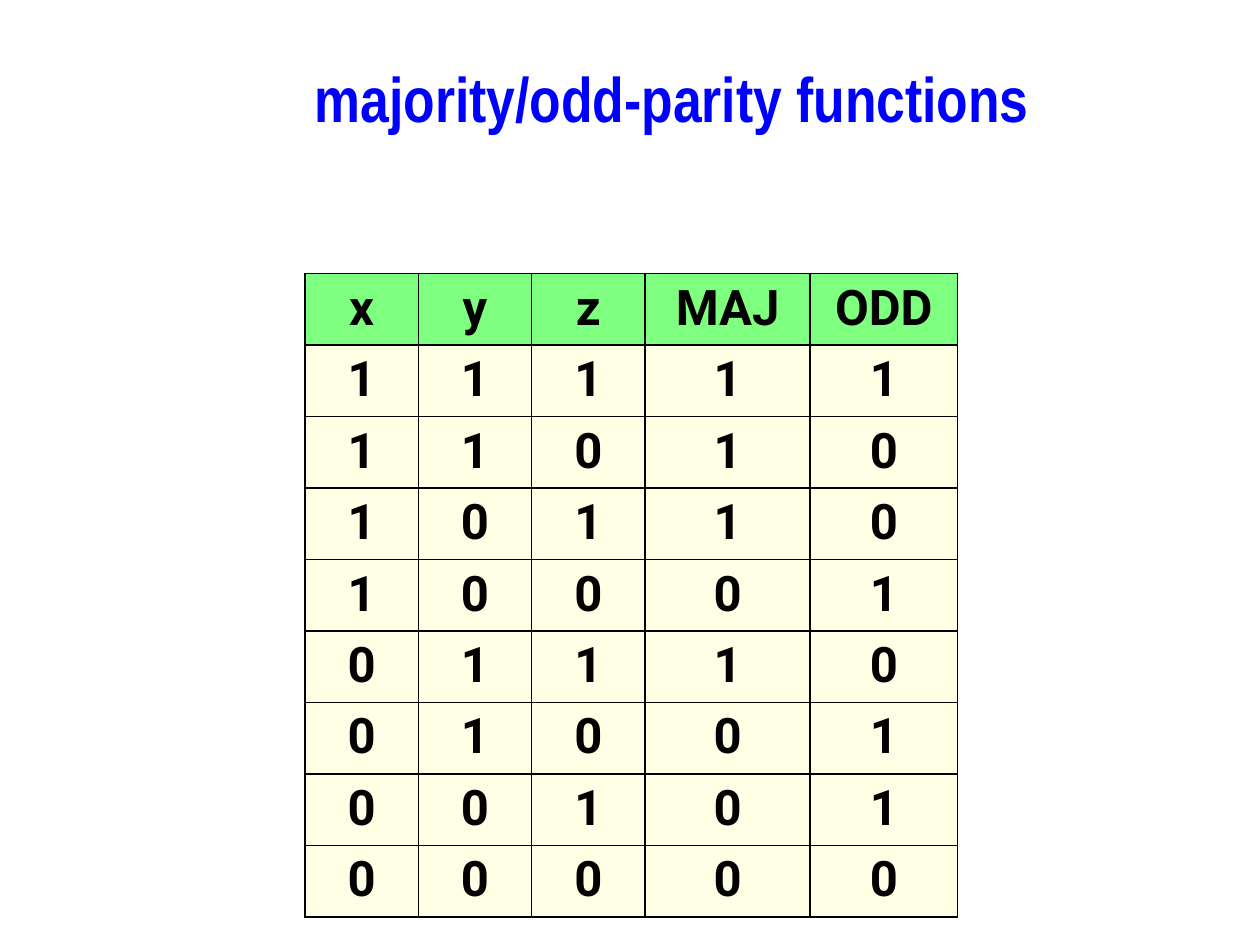
"""Build a slide with the truth table of the majority and odd-parity functions."""
from lxml import etree
from pptx import Presentation
from pptx.dml.color import RGBColor
from pptx.enum.text import MSO_ANCHOR, PP_ALIGN
from pptx.oxml.ns import qn
from pptx.util import Inches, Pt

TITLE = "majority/odd-parity functions"
ROWS = [
    ("x", "y", "z", "MAJ", "ODD"),
    (1, 1, 1, 1, 1),
    (1, 1, 0, 1, 0),
    (1, 0, 1, 1, 0),
    (1, 0, 0, 0, 1),
    (0, 1, 1, 1, 0),
    (0, 1, 0, 0, 1),
    (0, 0, 1, 0, 1),
    (0, 0, 0, 0, 0),
]
COLUMN_WIDTHS = (0.9, 0.9, 0.9, 1.31, 1.17)
TABLE_LEFT, TABLE_TOP, TABLE_HEIGHT = 2.42, 2.17, 5.1

BLUE = RGBColor(0x00, 0x00, 0xFF)
BLACK = RGBColor(0x00, 0x00, 0x00)
GREEN = RGBColor(0x00, 0xFF, 0x00)
CREAM = RGBColor(0xFF, 0xFF, 0xCC)
CENTER = PP_ALIGN.CENTER
TOP = MSO_ANCHOR.TOP


def write(tf, text, font, size, color):
    tf.text = text
    p = tf.paragraphs[0]
    p.alignment = CENTER
    r = p.runs[0]
    r.font.name, r.font.size, r.font.bold = font, Pt(size), True
    r.font.color.rgb = color


def add_solid_fill(parent, color, **effects):
    fill = etree.SubElement(parent, qn("a:solidFill"))
    clr = etree.SubElement(fill, qn("a:srgbClr"), val=str(color))
    for name, value in effects.items():
        etree.SubElement(clr, qn(f"a:{name}"), val=str(value))


def style_cell(cell, color):
    tc_pr = cell._tc.get_or_add_tcPr()
    for side in ("lnL", "lnR", "lnT", "lnB"):
        line = etree.SubElement(tc_pr, qn(f"a:{side}"), w=str(Pt(1)))
        add_solid_fill(line, BLACK)
    add_solid_fill(tc_pr, color, alpha=50000)


def add_title(s):
    box = s.shapes.add_textbox(Inches(1.92), Inches(0.42), Inches(6.83), Inches(1.57))
    tf = box.text_frame
    tf.word_wrap = False
    tf.vertical_anchor = TOP
    write(tf, TITLE, "Arial Narrow", 36, BLUE)


def add_truth_table(s):
    frame = s.shapes.add_table(
        len(ROWS), len(COLUMN_WIDTHS), Inches(TABLE_LEFT), Inches(TABLE_TOP),
        Inches(sum(COLUMN_WIDTHS)), Inches(TABLE_HEIGHT))
    table = frame.table
    table.horz_banding = False
    for column, width in zip(table.columns, COLUMN_WIDTHS):
        column.width = Inches(width)
    for i, values in enumerate(ROWS):
        for j, value in enumerate(values):
            cell = table.cell(i, j)
            write(cell.text_frame, str(value), "Roboto", 28, BLACK)
            style_cell(cell, CREAM if i else GREEN)


def main():
    prs = Presentation()
    prs.slide_width, prs.slide_height = Inches(10), Inches(7.5)
    s = prs.slides.add_slide(prs.slide_layouts[6])
    add_title(s)
    add_truth_table(s)
    prs.save("out.pptx")


if __name__ == "__main__":
    main()
